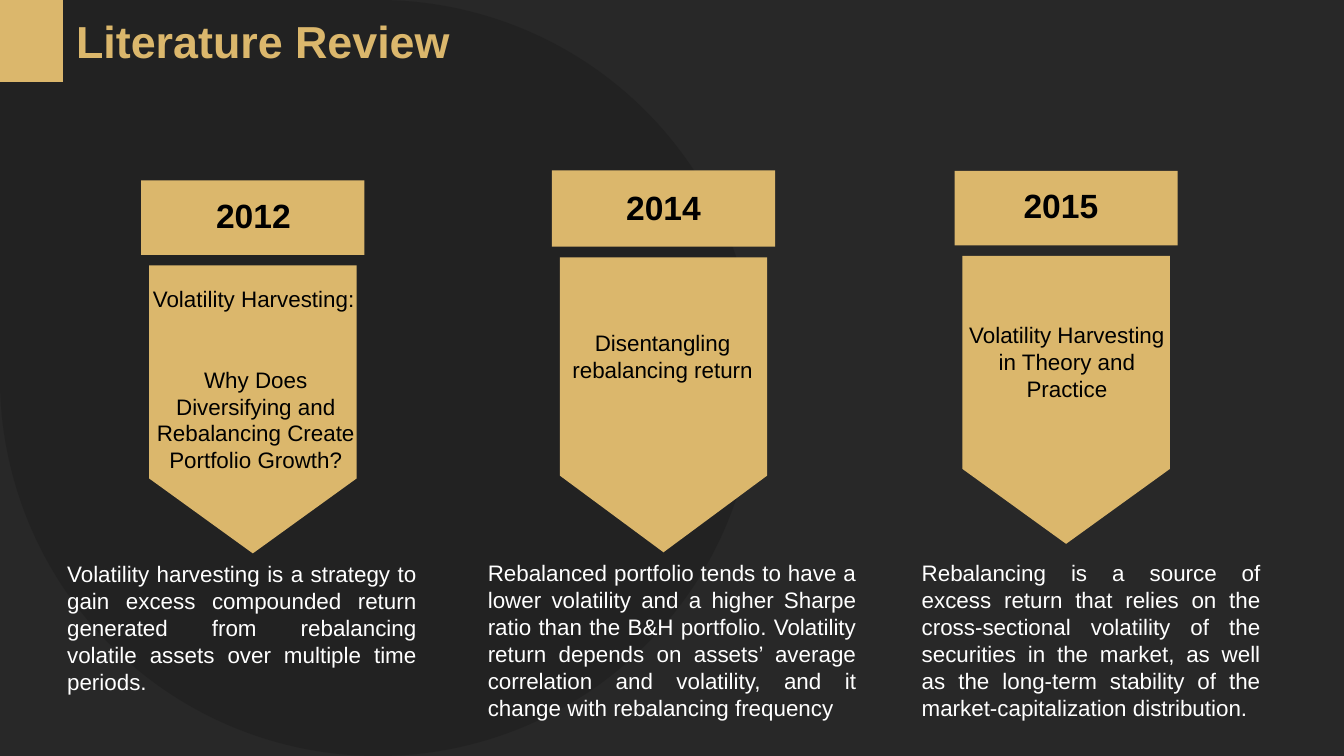
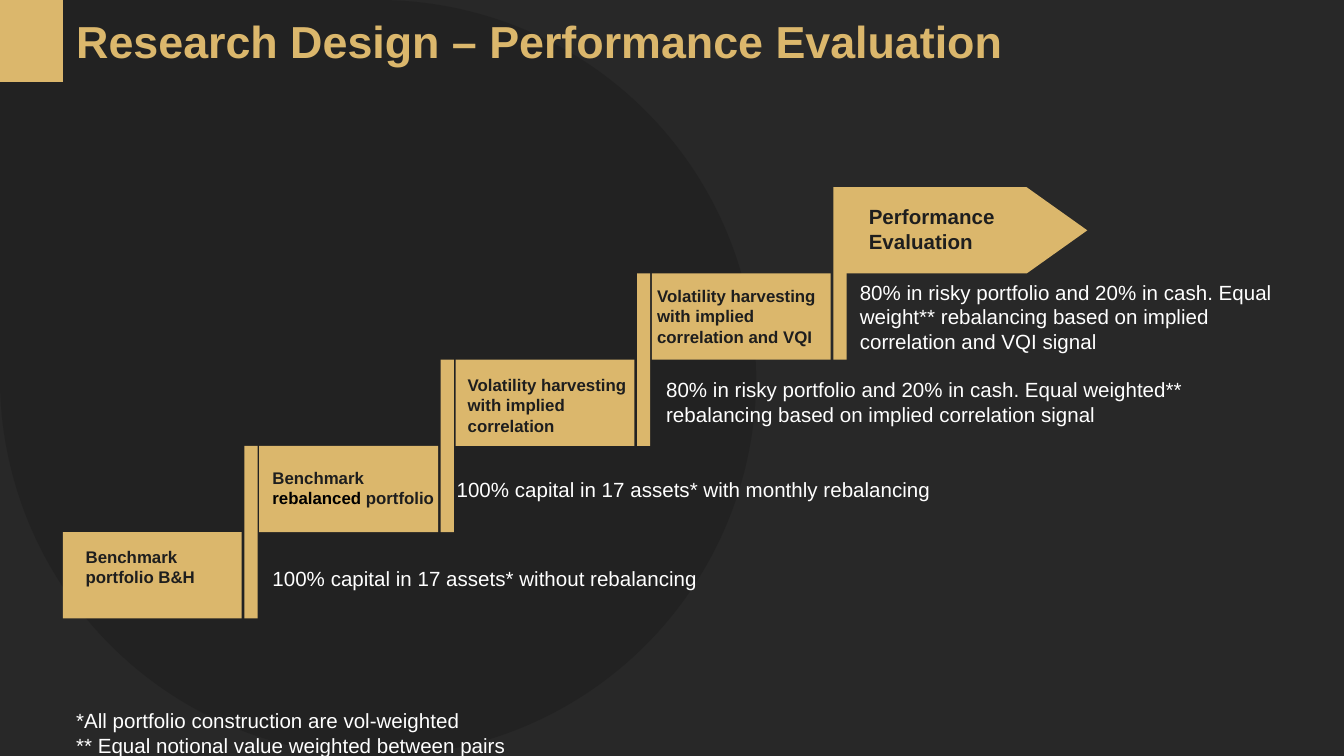
from dataclasses import dataclass

from lxml import etree
from pptx import Presentation
from pptx.dml.color import RGBColor
from pptx.enum.shapes import MSO_SHAPE
from pptx.enum.text import PP_ALIGN
from pptx.oxml.ns import qn
from pptx.util import Cm, Pt

RECTANGLE, TEARDROP = MSO_SHAPE.RECTANGLE, MSO_SHAPE.TEAR
LEFT, CENTER, JUSTIFY = PP_ALIGN.LEFT, PP_ALIGN.CENTER, PP_ALIGN.JUSTIFY


@dataclass(frozen=True)
class Theme:
    """Colours, font and type sizes of the presentation."""

    font: str = "Arial"
    background: str = "282828"
    dark: str = "1E1E1E"
    gold: str = "DBB76C"
    black: str = "000000"
    white: str = "FFFFFF"
    title: int = 24
    year: int = 18
    body: int = 12
    note: int = 11
    label: int = 9


THEME = Theme()
WIDTH, HEIGHT = 25.4, 14.29

STUDIES = [
    {
        "box": (2.67, 3.41, 4.22, 7.05),
        "year": ("2012", (3.1, 3.56, 3.38, 1.02)),
        "paper": (
            ["Volatility Harvesting:",
             "Why Does Diversifying and Rebalancing Create Portfolio Growth?"],
            (2.64, 5.26, 4.39, 3.33),
        ),
        "summary": (
            "Volatility harvesting is a strategy to gain excess compounded return "
            "generated from rebalancing volatile assets over multiple time periods.",
            (1.02, 10.47, 7.11, 2.31),
        ),
    },
    {
        "box": (10.43, 3.22, 4.22, 7.22),
        "year": ("2014", (10.85, 3.4, 3.38, 1.02)),
        "paper": (["Disentangling rebalancing return"], (10.44, 6.1, 4.17, 1.27)),
        "summary": (
            "Rebalanced portfolio tends to have a lower volatility and a higher Sharpe "
            "ratio than the B&H portfolio. Volatility return depends on assets’ average "
            "correlation and volatility, and it change with rebalancing frequency",
            (8.97, 10.45, 7.47, 3.84),
        ),
    },
    {
        "box": (18.04, 3.23, 4.22, 7.05),
        "year": ("2015", (18.36, 3.38, 3.38, 1.02)),
        "paper": (["Volatility Harvesting in Theory and Practice"],
                  (17.98, 5.95, 4.37, 1.8)),
        "summary": (
            "Rebalancing is a source of excess return that relies on the "
            "cross-sectional volatility of the securities in the market, as well as "
            "the long-term stability of the market-capitalization distribution.",
            (17.17, 10.45, 6.91, 3.33),
        ),
    },
]

STEPS = [
    {
        "label": ([("Benchmark portfolio B&H", THEME.dark)], (0.18, 0.15, 3.1, 1.02)),
        "note": ("100% capital in 17 assets* without rebalancing",
                 (3.71, 0.51, 12.78, 0.74)),
    },
    {
        "label": ([("Benchmark ", THEME.dark), ("rebalanced ", THEME.black),
                   ("portfolio", THEME.dark)], (0, 0.28, 3.84, 1.02)),
        "note": ("100% capital in 17 assets* with monthly rebalancing",
                 (3.48, 0.46, 10.03, 0.74)),
    },
    {
        "label": ([("Volatility harvesting with implied correlation", THEME.dark)],
                  (-0.02, 0.16, 3.84, 1.42)),
        "note": ("80% in risky portfolio and 20% in cash. Equal weighted** "
                 "rebalancing based on implied correlation signal",
                 (3.73, 0.21, 11.28, 1.19)),
    },
    {
        "label": ([("Volatility harvesting with implied correlation and VQI",
                    THEME.dark)], (-0.15, 0.11, 3.84, 1.42)),
        "note": ("80% in risky portfolio and 20% in cash. Equal weight** rebalancing "
                 "based on implied correlation and VQI signal",
                 (3.68, -0.01, 8.31, 1.68)),
    },
]

FOOTNOTES = [
    "*All portfolio construction are vol-weighted",
    "** Equal notional value weighted between pairs",
]


def paint(shape, color):
    """Give a shape a plain fill without line or shadow."""
    shape.shadow.inherit = False
    shape.fill.solid()
    shape.fill.fore_color.rgb = RGBColor.from_string(color)
    shape.line.fill.background()
    return shape


def add_block(slide, box, color=THEME.gold, kind=RECTANGLE):
    """Add a filled preset shape."""
    return paint(slide.shapes.add_shape(kind, *map(Cm, box)), color)


def add_outline(slide, box, corners):
    """Add a gold polygon whose corners are fractions of the box."""
    left, top, width, height = box
    points = [(Cm(left + x * width), Cm(top + y * height)) for x, y in corners]
    builder = slide.shapes.build_freeform(*points[0], scale=1.0)
    builder.add_line_segments(points[1:], close=True)
    return paint(builder.convert_to_shape(), THEME.gold)


def add_text(slide, box, paragraphs, size, color, bold=False, align=LEFT):
    """Add a wrapped text box; a paragraph is a string or (text, colour) runs."""
    frame = slide.shapes.add_textbox(*map(Cm, box)).text_frame
    frame.word_wrap = True
    for index, content in enumerate(paragraphs):
        paragraph = frame.add_paragraph() if index else frame.paragraphs[0]
        paragraph.alignment = align
        paragraph.font.name = THEME.font
        paragraph.font.size = Pt(size)
        paragraph.font.bold = bold
        runs = [(content, color)] if isinstance(content, str) else content
        for text, run_color in runs:
            run = paragraph.add_run()
            run.text = text
            run.font.color.rgb = RGBColor.from_string(run_color)
    return frame


def add_base_slide(presentation, title):
    """Add a slide with the dark backdrop, corner block and title."""
    slide = presentation.slides.add_slide(presentation.slide_layouts[6])
    background = slide.background.fill
    background.solid()
    background.fore_color.rgb = RGBColor.from_string(THEME.background)
    backdrop = add_block(slide, (0, 0, HEIGHT, HEIGHT), THEME.dark, TEARDROP)
    backdrop.rotation = 270
    color = backdrop._element.spPr.find(f".//{qn('a:srgbClr')}")
    etree.SubElement(color, qn("a:alpha")).set("val", "60000")
    add_block(slide, (0, 0, 1.19, 1.55))
    add_text(slide, (1.19, 0.13, 19.35, 1.27), [title], THEME.title, THEME.gold, True)
    return slide


def add_study(slide, study):
    """Add one dated pointer with its paper title and summary."""
    left, top, width, height = study["box"]
    head, pointer_top, side = 0.2 * height, 0.228 * height, 0.15
    add_block(slide, (left, top, width, head))
    add_outline(
        slide,
        (left + side, top + pointer_top, width - 2 * side, height - pointer_top),
        [(0, 0), (1, 0), (1, 0.74), (0.5, 1), (0, 0.74)],
    )
    year, year_box = study["year"]
    add_text(slide, year_box, [year], THEME.year, THEME.black, True, CENTER)
    paper, paper_box = study["paper"]
    frame = add_text(slide, paper_box, paper, THEME.body, THEME.black, align=CENTER)
    if len(paper) > 1:
        frame.paragraphs[0].alignment = LEFT
        frame.paragraphs[0].space_after = Pt(29)
    summary, summary_box = study["summary"]
    add_text(slide, summary_box, [summary], THEME.body, THEME.white, align=JUSTIFY)


def add_staircase(slide, box):
    """Add the rising steps and the final arrow; the box is the first tread."""
    left, top, width, height = box
    pitch, riser_gap, riser_width = 3.71, 3.43, 0.25
    for index, step in enumerate(STEPS):
        x, y = left + index * pitch, top - index * height
        add_block(slide, (x, y, width, height))
        add_block(slide, (x + riser_gap, y - height, riser_width, 2 * height))
        label, (dx, dy, *size) = step["label"]
        add_text(slide, (x + dx, y + dy, *size), [label], THEME.label, THEME.dark, True)
        note, (dx, dy, *size) = step["note"]
        add_text(slide, (x + dx, y + dy, *size), [note], THEME.note, THEME.white)
    overlap = 0.03
    arrow_left, arrow_top = x + riser_gap + riser_width - overlap, y - height
    add_outline(
        slide,
        (arrow_left, arrow_top, 4.58, height),
        [(0, 0), (0.75, 0), (1, 0.5), (0.75, 1), (0, 1)],
    )
    add_text(slide, (arrow_left + 0.2, arrow_top + 0.2, 3.84, 1.19),
             ["Performance Evaluation"], THEME.note, THEME.dark, True)


def build_literature_slide(presentation):
    """Build the slide of reviewed studies."""
    slide = add_base_slide(presentation, "Literature Review")
    for study in STUDIES:
        add_study(slide, study)


def build_design_slide(presentation):
    """Build the slide of evaluation steps."""
    slide = add_base_slide(presentation, "Research Design – Performance Evaluation")
    add_staircase(slide, (1.19, 10.06, 3.38, 1.63))
    add_text(slide, (1.19, 13.26, 8.8, 1.19), FOOTNOTES, THEME.note, THEME.white)


def main():
    """Build and save the presentation."""
    presentation = Presentation()
    presentation.slide_width, presentation.slide_height = Cm(WIDTH), Cm(HEIGHT)
    build_literature_slide(presentation)
    build_design_slide(presentation)
    presentation.save("out.pptx")


if __name__ == "__main__":
    main()
